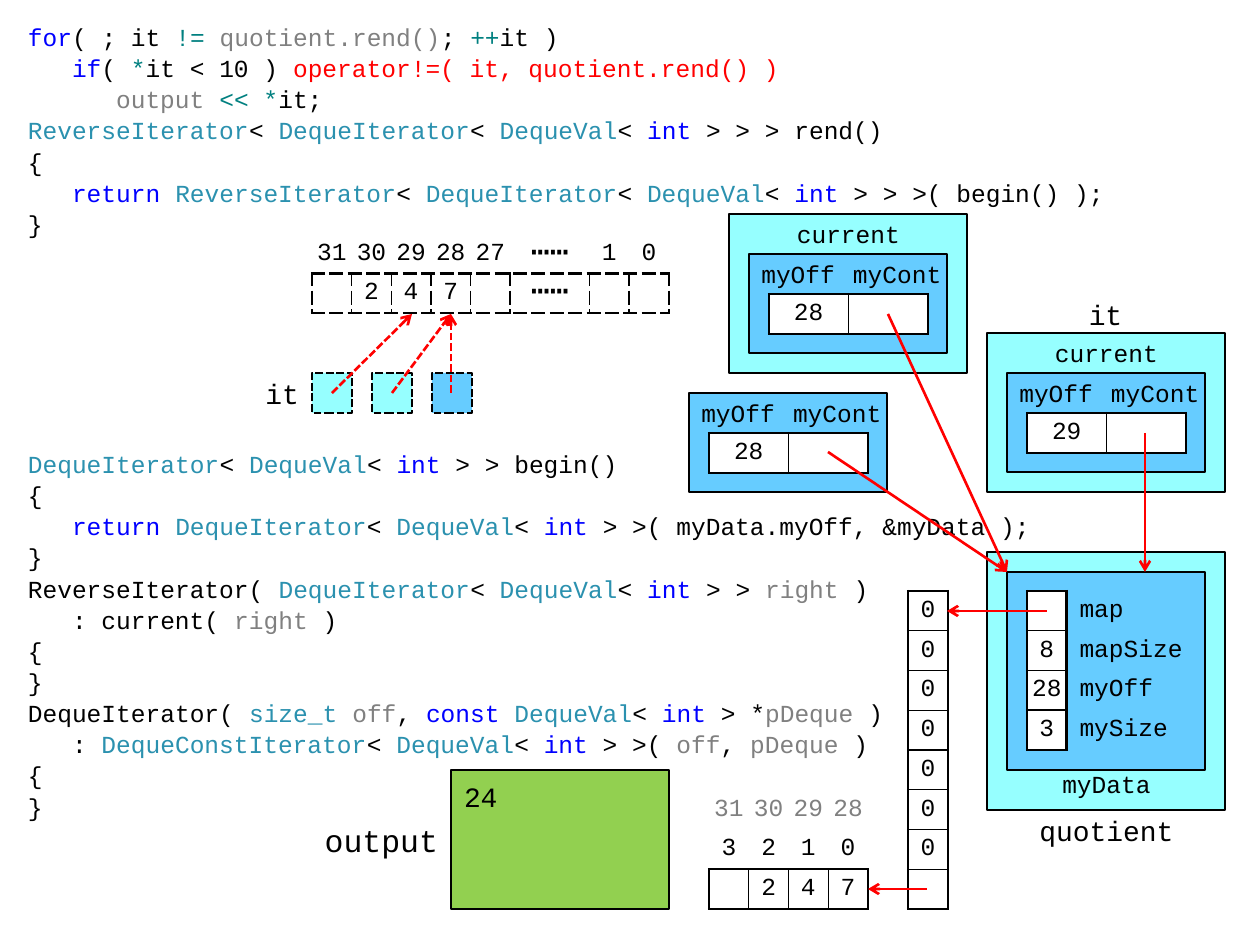
from dataclasses import dataclass
from itertools import product

from lxml import etree
from pptx import Presentation
from pptx import util as u
from pptx.dml.color import RGBColor
from pptx.enum import dml, shapes, text
from pptx.oxml import ns

PX = 914400 / 126
FONT = "Courier New"
NO_GRID = "{2D5ABB26-0587-4C30-8999-92F81FD0307C}"
BLACK = RGBColor(0x00, 0x00, 0x00)
WHITE = RGBColor(0xFF, 0xFF, 0xFF)
GRAY = RGBColor(0x80, 0x80, 0x80)
RED = RGBColor(0xFF, 0x00, 0x00)
BLUE = RGBColor(0x00, 0x00, 0xFF)
TEAL = RGBColor(0x00, 0x80, 0x80)
TYPE = RGBColor(0x2B, 0x91, 0xAF)
CYAN = RGBColor(0x96, 0xFF, 0xFF)
SKY = RGBColor(0x66, 0xCC, 0xFF)
GREEN = RGBColor(0x92, 0xD0, 0x50)
MARKS = {"k": BLUE, "t": TYPE, "g": GRAY, "o": TEAL, "r": RED}
LEFT, CENTER, RIGHT = text.PP_ALIGN.LEFT, text.PP_ALIGN.CENTER, text.PP_ALIGN.RIGHT

VAL = "[t|DequeVal]< [k|int] >"
ITER = f"[t|DequeIterator]< {VAL} >"
REVERSE = f"[t|ReverseIterator]< {ITER} >"
LOOP_CODE = [
    (0, "[k|for]( ; it [o|!= ][g|quotient.rend()]; [o|++]it )"),
    (1, "[k|if]( [o|*]it < 10 )[r| operator!=( it, quotient.rend() )]"),
    (2, "[g|output ][o|<< *]it;"),
    (0, f"{REVERSE} rend()"),
    (0, "{"),
    (1, f"[k|return ]{REVERSE}( begin() );"),
    (0, "}"),
]
BEGIN_CODE = [
    (0, f"{ITER} begin()"),
    (0, "{"),
    (1, f"[k|return ]{ITER}( myData.myOff, &myData );"),
    (0, "}"),
    (0, f"ReverseIterator( {ITER} [g|right] )"),
    (1, ": current( [g|right] )"),
    (0, "{"),
    (0, "}"),
    (0, f"DequeIterator( [t|size_t ][g|off], [k|const ]{VAL} *[g|pDeque] )"),
    (1, f": [t|DequeConstIterator]< {VAL} >( [g|off], [g|pDeque] )"),
    (0, "{"),
    (0, "}"),
]


@dataclass
class Box:
    left: int
    top: int
    width: int
    height: int
    fill: RGBColor
    dashed: bool = False


@dataclass
class Label:
    words: str
    left: int
    top: int
    width: int
    height: int = 40
    size: int = 14
    align: text.PP_ALIGN = CENTER


@dataclass
class Grid:
    left: int
    top: int
    width: int
    height: int
    rows: list
    weights: tuple
    first_row: int = 0
    framed_columns: int = 8
    inner: float = 0.75
    dashed: bool = False
    gray_row: int = -1


@dataclass
class Arrow:
    start: tuple
    end: tuple
    dashed: bool = False


def emu(*lengths: float) -> list[int]:
    return [round(length * PX) for length in lengths]


def style(span, size: int, color: RGBColor = BLACK) -> None:
    span.font.name, span.font.size = FONT, u.Pt(size)
    span.font.color.rgb = color


def set_margins(target, left: int = 0, top: int = 0) -> None:
    target.margin_left = target.margin_right = emu(left)[0]
    target.margin_top = target.margin_bottom = emu(top)[0]


def draw_code(page, top: int, height: int, lines: list) -> None:
    frame = page.shapes.add_textbox(*emu(15, top, 1131, height)).text_frame
    frame.word_wrap = True
    set_margins(frame, 13, 6)
    for number, (level, line) in enumerate(lines):
        para = frame.add_paragraph() if number else frame.paragraphs[0]
        para.space_after = u.Pt(1)
        para._p.get_or_add_pPr().set("marL", str(u.Pt(25.2 * level)))
        for index, piece in enumerate(line.replace("]", "[").split("[")):
            if piece:
                span = para.add_run()
                mark, words = piece.split("|") if index % 2 else ("", piece)
                span.text = words
                style(span, 14, MARKS.get(mark, BLACK))


def draw_box(page, box: Box):
    kind = shapes.MSO_SHAPE.RECTANGLE if box.dashed else shapes.MSO_SHAPE.FLOWCHART_PROCESS
    shape = page.shapes.add_shape(kind, *emu(box.left, box.top, box.width, box.height))
    shape.shadow.inherit = False
    shape.fill.solid()
    shape.fill.fore_color.rgb = box.fill
    shape.line.color.rgb, shape.line.width = BLACK, u.Pt(1.5)
    if box.dashed:
        shape.line.dash_style = dml.MSO_LINE.SQUARE_DOT
    return shape


def draw_label(page, label: Label) -> None:
    place = emu(label.left, label.top, label.width, label.height)
    frame = page.shapes.add_textbox(*place).text_frame
    frame.word_wrap, frame.vertical_anchor = True, text.MSO_ANCHOR.MIDDLE
    set_margins(frame)
    frame.text = label.words
    frame.paragraphs[0].alignment = label.align
    style(frame.paragraphs[0].runs[0], label.size)


def draw_border(cell, side: str, points: float, dashed: bool) -> None:
    properties = cell._tc.get_or_add_tcPr()
    line = etree.SubElement(properties, ns.qn(f"a:ln{side}"), w=str(u.Pt(points)))
    fill = etree.SubElement(line, ns.qn("a:solidFill"))
    etree.SubElement(fill, ns.qn("a:srgbClr"), val=str(BLACK))
    etree.SubElement(line, ns.qn("a:prstDash"), val="sysDash" if dashed else "solid")


def draw_grid(page, grid: Grid) -> None:
    count, columns = len(grid.rows), len(grid.weights)
    place = emu(grid.left, grid.top, grid.width, grid.height)
    table = page.shapes.add_table(count, columns, *place).table
    table.first_row = table.horz_banding = False
    table._tbl.tblPr.find(ns.qn("a:tableStyleId")).text = NO_GRID
    for column, weight in zip(table.columns, grid.weights):
        column.width = emu(grid.width * weight / sum(grid.weights))[0]
    for row in table.rows:
        row.height = emu(grid.height / count)[0]
    last = min(columns, grid.framed_columns) - 1
    for r, c in product(range(count), range(columns)):
        cell, words = table.cell(r, c), grid.rows[r][c]
        framed = r >= grid.first_row and c <= last
        set_margins(cell, 0 if c <= last else 13)
        cell.vertical_anchor = text.MSO_ANCHOR.MIDDLE
        if framed:
            edges = {"L": c == 0, "R": c == last, "T": r == grid.first_row, "B": r == count - 1}
            for side, outer in edges.items():
                draw_border(cell, side, 1.5 if outer else grid.inner, grid.dashed)
            cell.fill.solid()
            cell.fill.fore_color.rgb = WHITE
        else:
            cell.fill.background()
        if words:
            cell.text = words
            para = cell.text_frame.paragraphs[0]
            para.alignment = CENTER if c <= last else LEFT
            style(para.runs[0], 18 if "⋯" in words else 14, GRAY if r == grid.gray_row else BLACK)


def draw_iterator(page, left: int, top: int, offset: str, reverse: bool) -> None:
    if reverse:
        draw_box(page, Box(left - 20, top - 40, 238, 159, CYAN))
        draw_label(page, Label("current", left + 40, top - 40, 119))
    draw_box(page, Box(left, top, 198, 99, SKY))
    draw_label(page, Label("myOff", left, top, 86, align=RIGHT))
    draw_label(page, Label("myCont", left + 104, top, 94, align=LEFT))
    draw_grid(page, Grid(left + 20, top + 40, 159, 40, [(offset, "")], (1, 1)))


def draw_arrow(page, arrow: Arrow) -> None:
    ends = emu(*arrow.start, *arrow.end)
    line = page.shapes.add_connector(shapes.MSO_CONNECTOR.STRAIGHT, *ends)
    line.line.color.rgb, line.line.width = RED, u.Pt(1.5)
    if arrow.dashed:
        line.line.dash_style = dml.MSO_LINE.SQUARE_DOT
    etree.SubElement(line.line._get_or_add_ln(), ns.qn("a:tailEnd"), type="arrow")
    etree.SubElement(line._element.spPr, ns.qn("a:effectLst"))


def main() -> None:
    deck = Presentation()
    deck.slide_width, deck.slide_height = emu(1260, 945)
    page = deck.slides.add_slide(deck.slide_layouts[6])
    draw_code(page, 16, 220, LOOP_CODE)
    draw_code(page, 443, 367, BEGIN_CODE)

    for left, top, offset, reverse in [(749, 254, "28", True), (1007, 373, "29", True), (689, 393, "28", False)]:
        draw_iterator(page, left, top, offset, reverse)
    for box in [Box(987, 552, 238, 258, CYAN), Box(1007, 572, 198, 198, SKY)]:
        draw_box(page, box)
    for left, fill in [(312, CYAN), (372, CYAN), (432, SKY)]:
        draw_box(page, Box(left, 373, 40, 40, fill, dashed=True))

    frame = draw_box(page, Box(451, 770, 218, 139, GREEN)).text_frame
    set_margins(frame, 13, 10)
    frame.vertical_anchor = text.MSO_ANCHOR.TOP
    frame.text = "24"
    frame.paragraphs[0].alignment = LEFT
    style(frame.paragraphs[0].runs[0], 16)

    members = [("", "map"), ("8", "mapSize"), ("28", "myOff"), ("3", "mySize")]
    indices = ("31", "30", "29", "28", "27", "⋯⋯", "1", "0")
    values = ("", "2", "4", "7", "", "⋯⋯", "", "")
    block = [indices[:4], ("3", "2", "1", "0"), values[:4]]
    for grid in [
        Grid(1027, 591, 178, 159, members, (2, 7), framed_columns=1, inner=1),
        Grid(908, 591, 40, 318, [("0",)] * 7 + [("",)], (1,)),
        Grid(709, 790, 159, 119, block, (1,) * 4, first_row=2, gray_row=0),
        Grid(312, 234, 357, 79, [indices, values], (1, 1, 1, 1, 1, 2, 1, 1), first_row=1, inner=1, dashed=True),
    ]:
        draw_grid(page, grid)

    for label in [
        Label("quotient", 1027, 810, 159, size=16),
        Label("myData", 1047, 770, 119, 28),
        Label("it", 1066, 294, 79, size=16),
        Label("it", 253, 373, 46, size=16, align=RIGHT),
        Label("output", 312, 810, 126, 59, size=18, align=RIGHT),
    ]:
        draw_label(page, label)

    for arrow in [
        Arrow((927, 889), (868, 889)),
        Arrow((1047, 611), (947, 611)),
        Arrow((1145, 433), (1145, 572)),
        Arrow((828, 452), (1007, 572)),
        Arrow((888, 314), (1007, 572)),
        Arrow((332, 393), (412, 314), dashed=True),
        Arrow((392, 393), (451, 314), dashed=True),
        Arrow((451, 393), (451, 314), dashed=True),
    ]:
        draw_arrow(page, arrow)
    deck.save("out.pptx")


if __name__ == "__main__":
    main()
